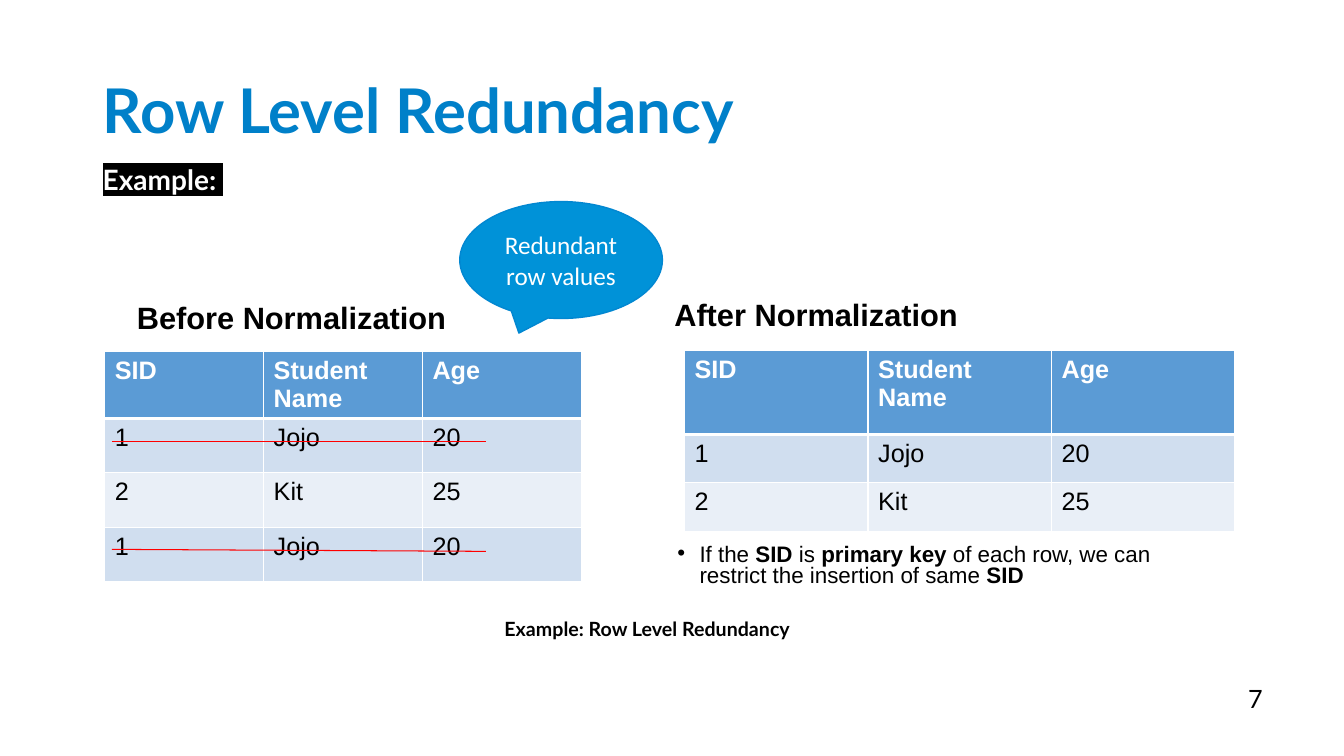
"""Build the Row Level Redundancy slide."""
from lxml import etree
from pptx import Presentation
from pptx import util as u
from pptx.dml.color import RGBColor
from pptx.enum import shapes, text
from pptx.oxml.ns import qn

COLOURS = {
    "title": "0080C9", "black": "000000", "white": "FFFFFF", "header": "5B9BD5",
    "odd": "D0DEEF", "even": "E9EFF7", "strike": "FF0000",
    "callout": "0092D8", "outline": "0287D1",
}
HEADER = ("SID", "Student Name", "Age")
JOJO, KIT = ("1", "Jojo", "20"), ("2", "Kit", "25")
TABLES = [
    dict(left=1.04, top=3.49, column=1.575, heights=(0.53, 0.54, 0.54, 0.54),
         rows=(HEADER, JOJO, KIT, JOJO)),
    dict(left=6.79, top=3.48, column=1.82, heights=(0.83, 0.48, 0.48),
         rows=(HEADER, JOJO, KIT)),
]
KEY_RULE = [("If the ", False), ("SID ", True), ("is ", False), ("primary key", True),
            (" of each row, we can restrict the insertion of same ", False), ("SID", True)]
TEXTS = [
    ((0.92, 0.4, 11.5, 1.45), "Row Level Redundancy",
     dict(size=44, font="Lato", colour="title", bold=True, spacing=0.9, middle=True)),
    ((6.59, 2.96, 5.67, 2.52), "After Normalization", dict(size=22, bold=True, spacing=0.8)),
    ((0.76, 2.96, 5.32, 3.17), "Before Normalization",
     dict(size=22, bold=True, spacing=0.9, margin=0.5)),
    ((4.56, 6.02, 3.72, 0.63), "Example: Row Level Redundancy",
     dict(size=14, font="Lato", bold=True, centre=True, inset=0.1)),
    ((0.92, 1.51, 4.49, 0.57), "Example: ",
     dict(size=20, font="Lato", colour="white", bold=True, highlight="black", inset=0.1)),
    ((12.28, 6.73, 1.05, 0.4), "7", dict(size=18, font="Lato")),
    ((6.59, 5.31, 5.56, 0.63), KEY_RULE,
     dict(size=16, spacing=0.8, margin=0.25, indent=-0.22, bullet="•", inset=0.1)),
]
STRIKES = [(1.11, 4.38, 4.82, 4.38), (1.11, 5.45, 4.82, 5.47)]
CALLOUT = (4.56, 2, 2.01, 1.16)
CALLOUT_TIP = (-0.208, 0.625)


def rgb(name):
    return RGBColor.from_string(COLOURS[name])


def add_colour(parent, tag, name):
    holder = etree.SubElement(parent, qn(tag))
    etree.SubElement(holder, qn("a:srgbClr"), val=COLOURS[name])
    return holder


def write(frame, content, size=18, font="Arial", colour="black", bold=False, spacing=None,
          centre=False, middle=False, margin=0, indent=0, bullet=None, highlight=None,
          inset=0.05):
    frame.word_wrap = True
    frame.margin_left = frame.margin_right = u.Inches(0.1)
    frame.margin_top = frame.margin_bottom = u.Inches(inset)
    frame.vertical_anchor = text.MSO_ANCHOR.MIDDLE if middle else text.MSO_ANCHOR.TOP
    paragraph = frame.paragraphs[0]
    properties = paragraph._p.get_or_add_pPr()
    properties.set("marL", str(u.Inches(margin)))
    properties.set("indent", str(u.Inches(indent)))
    if bullet:
        add_colour(properties, "a:buClr", colour)
        etree.SubElement(properties, qn("a:buFont"), typeface=font)
        etree.SubElement(properties, qn("a:buChar"), char=bullet)
    paragraph.alignment = text.PP_ALIGN.CENTER if centre else text.PP_ALIGN.LEFT
    if spacing:
        paragraph.line_spacing = spacing
    for words, strong in [(content, bold)] if isinstance(content, str) else content:
        run = paragraph.add_run()
        run.text = words
        run.font.size, run.font.bold = u.Pt(size), strong
        run.font.color.rgb = rgb(colour)
        if highlight:
            add_colour(run._r.get_or_add_rPr(), "a:highlight", highlight)
        run.font.name = font


def border(cell, thick_side):
    properties = cell._tc.get_or_add_tcPr()
    for position, side in enumerate("LRTB"):
        width = u.Pt(3 if side == thick_side else 1)
        line = etree.Element(qn(f"a:ln{side}"), w=str(width))
        add_colour(line, "a:solidFill", "white")
        properties.insert(position, line)


def add_records(slide, left, top, column, heights, rows):
    table = slide.shapes.add_table(
        len(rows), len(HEADER), u.Inches(left), u.Inches(top),
        u.Inches(column * len(HEADER)), u.Inches(sum(heights))).table
    for table_column in table.columns:
        table_column.width = u.Inches(column)
    for r, (height, values) in enumerate(zip(heights, rows)):
        table.rows[r].height = u.Inches(height)
        fill = "header" if r == 0 else "odd" if r % 2 else "even"
        for c, value in enumerate(values):
            cell = table.cell(r, c)
            write(cell.text_frame, value, colour="black" if r else "white", bold=r == 0)
            cell.fill.solid()
            cell.fill.fore_color.rgb = rgb(fill)
            border(cell, {0: "B", 1: "T"}.get(r))


def add_strike(slide, ends):
    strike = slide.shapes.add_connector(
        shapes.MSO_CONNECTOR.STRAIGHT, *map(u.Inches, ends))
    strike.line.color.rgb = rgb("strike")
    strike.line.width = u.Pt(0.75)
    etree.SubElement(strike._element.spPr, qn("a:effectLst"))


def add_callout(slide):
    callout = slide.shapes.add_shape(
        shapes.MSO_SHAPE.OVAL_CALLOUT, *map(u.Inches, CALLOUT))
    callout.adjustments[0], callout.adjustments[1] = CALLOUT_TIP
    callout.shadow.inherit = False
    callout.fill.solid()
    callout.fill.fore_color.rgb = rgb("callout")
    callout.line.color.rgb = rgb("outline")
    callout.line.width = u.Pt(1)
    write(callout.text_frame, "Redundant row values", font="Calibri", colour="white",
          centre=True, middle=True)


def main():
    deck = Presentation()
    deck.slide_width, deck.slide_height = u.Inches(13.33), u.Inches(7.5)
    slide = deck.slides.add_slide(deck.slide_layouts[6])
    for records in TABLES:
        add_records(slide, **records)
    for ends in STRIKES:
        add_strike(slide, ends)
    for place, content, style in TEXTS:
        box = slide.shapes.add_textbox(*map(u.Inches, place))
        write(box.text_frame, content, **style)
    add_callout(slide)
    deck.save("out.pptx")


if __name__ == "__main__":
    main()
